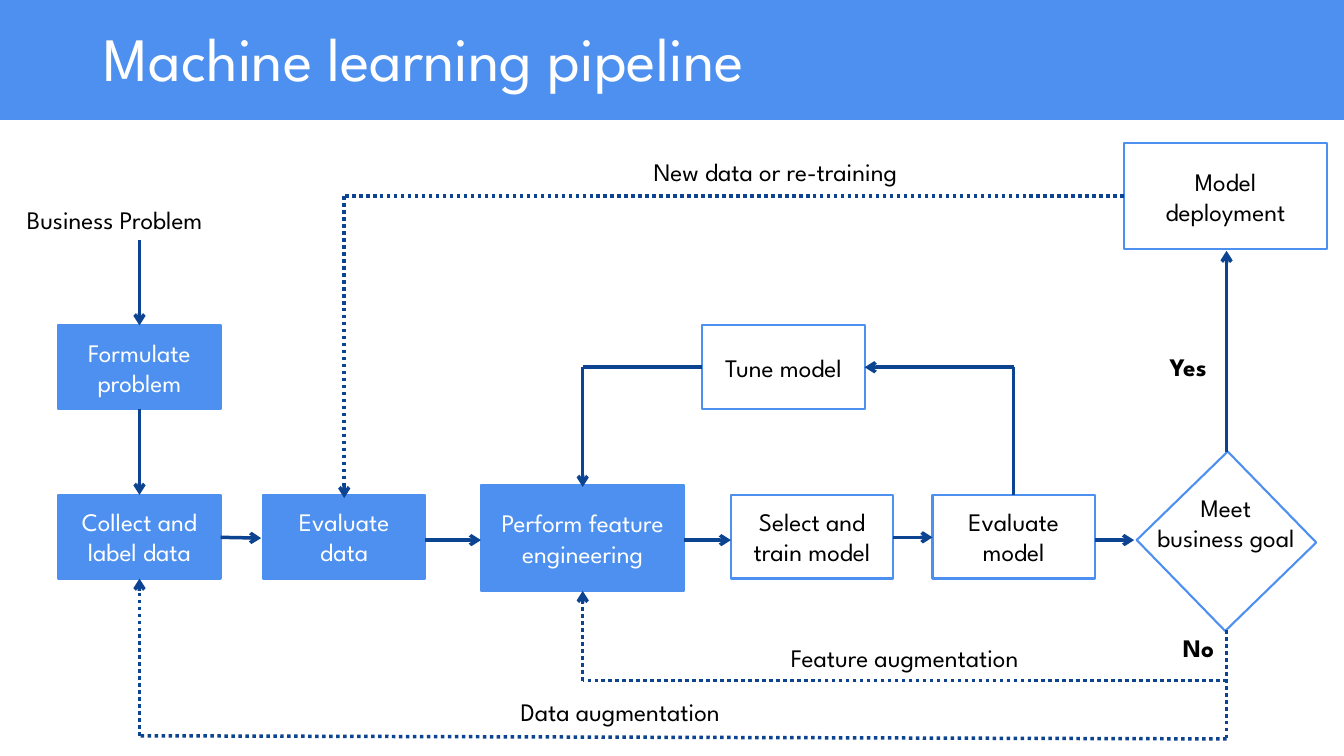
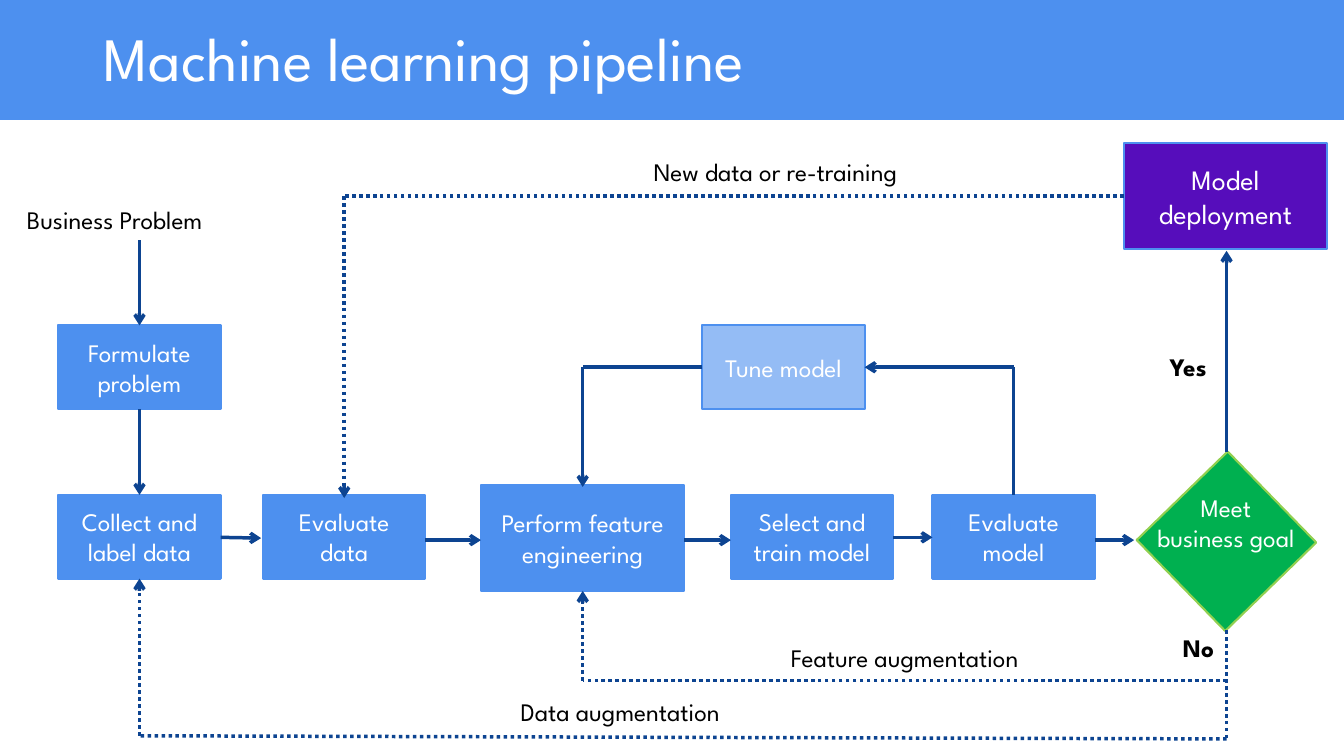
from dataclasses import dataclass

from lxml import etree
from pptx import Presentation
from pptx.dml.color import RGBColor
from pptx.enum.dml import MSO_LINE
from pptx.enum.shapes import MSO_CONNECTOR, MSO_SHAPE
from pptx.enum.text import MSO_ANCHOR, MSO_AUTO_SIZE, PP_ALIGN
from pptx.oxml.ns import qn
from pptx.shapes.autoshape import Shape
from pptx.slide import Slide
from pptx.text.text import TextFrame
from pptx.util import Cm, Pt

RECT = MSO_SHAPE.RECTANGLE
STRAIGHT = MSO_CONNECTOR.STRAIGHT
DOTTED = MSO_LINE.ROUND_DOT
MIDDLE, TOP = MSO_ANCHOR.MIDDLE, MSO_ANCHOR.TOP
CENTER, LEFT = PP_ALIGN.CENTER, PP_ALIGN.LEFT
GROW = MSO_AUTO_SIZE.SHAPE_TO_FIT_TEXT


@dataclass(frozen=True)
class Theme:
    font: str = "League Spartan"
    blue: str = "4D90EF"
    light_blue: str = "94BCF5"
    navy: str = "0D4491"
    purple: str = "560DBB"
    green: str = "00B050"
    lime: str = "92D050"
    white: str = "FFFFFF"
    black: str = "000000"
    title_size: int = 44
    large_size: int = 20
    body_size: int = 18
    outline: float = 1.5
    arrow: float = 2.5


T = Theme()


@dataclass(frozen=True)
class Style:
    fill: str
    text: str
    line: str = T.blue
    size: int = T.body_size


@dataclass(frozen=True)
class Box:
    text: str
    left: float
    top: float
    width: float = 4.09
    height: float = 2.11

    @property
    def right(self) -> float:
        return self.left + self.width

    @property
    def bottom(self) -> float:
        return self.top + self.height

    @property
    def mid_x(self) -> float:
        return self.left + self.width / 2

    @property
    def mid_y(self) -> float:
        return self.top + self.height / 2


@dataclass(frozen=True)
class Label:
    text: str
    left: float
    top: float
    width: float = 9.32
    height: float = 1.02
    align: PP_ALIGN = CENTER
    bold: bool = False


@dataclass(frozen=True)
class Route:
    points: tuple[tuple[float, float], ...]
    dotted: bool = False
    arrow: bool = True


@dataclass(frozen=True)
class Stage:
    model: Style
    tune: Style
    deploy: Style
    goal: Style


SOLID = Style(T.blue, T.white)
OPEN = Style(T.white, T.black)

STAGES = (
    Stage(OPEN, OPEN, OPEN, OPEN),
    Stage(
        SOLID,
        Style(T.light_blue, T.white),
        Style(T.purple, T.white, size=T.large_size),
        Style(T.green, T.white, T.lime),
    ),
)

ROW_Y, UPPER_Y, FLOW_Y, GOAL_X = 12.47, 8.2, 13.61, 30.91
FORMULATE = Box("Formulate problem", 1.47, UPPER_Y)
COLLECT = Box("Collect and label data", 1.47, ROW_Y)
EVALUATE = Box("Evaluate data", 6.63, ROW_Y)
FEATURES = Box("Perform feature engineering", 12.12, 12.22, 5.13, 2.67)
TRAIN = Box("Select and train model", 18.42, ROW_Y)
ASSESS = Box("Evaluate model", 23.5, ROW_Y)
TUNE = Box("Tune model", 17.7, UPPER_Y)
DEPLOY = Box("Model deployment", 28.32, 3.61, 5.13, 2.67)
GOAL = Box("", 29.31, 12.04, 3.2, 3.2)
GOAL_TURN = 315.8
GOAL_LABEL = Label("Meet business goal", 28.85, 12.27, 4.09, 2.57)
TITLE = Label("Machine learning pipeline", -0.08, 0.38, 21.54, 2.13)
BAND = Box("", -0.08, 0, 33.96, 3.02)

LABELS = (
    Label("Business Problem", 0.43, 5.03, 6.15, align=LEFT),
    Label("Yes", 28.98, 8.74, 1.93, bold=True),
    Label("No", 29.24, 15.82, 1.93, bold=True),
    Label("New data or re-training", 14.88, 3.81),
    Label("Feature augmentation", 18.14, 16.05),
    Label("Data augmentation", 10.97, 17.42),
)

ROUTES = (
    Route(((COLLECT.mid_x, 6.05), (COLLECT.mid_x, FORMULATE.top))),
    Route(((COLLECT.mid_x, FORMULATE.bottom), (COLLECT.mid_x, COLLECT.top))),
    Route(((COLLECT.right, 13.54), (6.58, 13.56))),
    Route(((EVALUATE.right, FLOW_Y), (FEATURES.left, FLOW_Y))),
    Route(((FEATURES.right, FLOW_Y), (TRAIN.left, FLOW_Y))),
    Route(((TRAIN.right, 13.54), (ASSESS.left, 13.54))),
    Route(((ASSESS.right, FLOW_Y), (28.58, FLOW_Y))),
    Route((
        (ASSESS.mid_x, ASSESS.top),
        (ASSESS.mid_x, TUNE.mid_y),
        (TUNE.right, TUNE.mid_y),
    )),
    Route((
        (TUNE.left, TUNE.mid_y),
        (FEATURES.mid_x, TUNE.mid_y),
        (FEATURES.mid_x, 12.27),
    )),
    Route(((GOAL_X, 11.4), (GOAL_X, 6.32))),
    Route((
        (DEPLOY.left, DEPLOY.mid_y),
        (EVALUATE.mid_x, DEPLOY.mid_y),
        (EVALUATE.mid_x, 12.55),
    ), dotted=True),
    Route(((GOAL_X, 15.88), (GOAL_X, 18.67)), dotted=True, arrow=False),
    Route((
        (GOAL_X, 17.15),
        (FEATURES.mid_x, 17.15),
        (FEATURES.mid_x, FEATURES.bottom),
    ), dotted=True),
    Route((
        (GOAL_X, 18.62),
        (COLLECT.mid_x, 18.54),
        (COLLECT.mid_x, COLLECT.bottom),
    ), dotted=True),
)


def rgb(color: str) -> RGBColor:
    return RGBColor.from_string(color)


def write(tf: TextFrame, text: str, color: str, size: int,
          align: PP_ALIGN = CENTER, bold: bool = False) -> None:
    tf.word_wrap = True
    p = tf.paragraphs[0]
    p.alignment = align
    r = p.add_run()
    r.text = text
    r.font.name = T.font
    r.font.size = Pt(size)
    r.font.bold = bold
    r.font.color.rgb = rgb(color)


def draw_rect(s: Slide, box: Box, fill: str, line: str | None = None) -> Shape:
    sp = s.shapes.add_shape(
        RECT, Cm(box.left), Cm(box.top), Cm(box.width), Cm(box.height))
    sp.shadow.inherit = False
    sp.fill.solid()
    sp.fill.fore_color.rgb = rgb(fill)
    if line is None:
        sp.line.fill.background()
    else:
        sp.line.color.rgb = rgb(line)
        sp.line.width = Pt(T.outline)
    return sp


def draw_box(s: Slide, box: Box, style: Style) -> None:
    tf = draw_rect(s, box, style.fill, style.line).text_frame
    tf.vertical_anchor = MIDDLE
    tf.margin_left = tf.margin_right = Cm(0.28)
    write(tf, box.text, style.text, style.size)


def draw_label(s: Slide, label: Label, color: str = T.black,
               size: int = T.body_size) -> None:
    sp = s.shapes.add_textbox(
        Cm(label.left), Cm(label.top), Cm(label.width), Cm(label.height))
    tf = sp.text_frame
    tf.vertical_anchor = TOP
    write(tf, label.text, color, size, label.align, label.bold)
    tf.auto_size = GROW


def draw_route(s: Slide, route: Route) -> None:
    for start, end in zip(route.points, route.points[1:]):
        cx = s.shapes.add_connector(
            STRAIGHT, Cm(start[0]), Cm(start[1]), Cm(end[0]), Cm(end[1]))
        cx.line.color.rgb = rgb(T.navy)
        cx.line.width = Pt(T.arrow)
        if route.dotted:
            cx.line.dash_style = DOTTED
        sp_pr = cx._element.spPr
        if route.arrow and end == route.points[-1]:
            tail = etree.SubElement(sp_pr.find(qn("a:ln")), qn("a:tailEnd"))
            tail.set("type", "arrow")
        etree.SubElement(sp_pr, qn("a:effectLst"))


def draw_pipeline(s: Slide, stage: Stage) -> None:
    draw_rect(s, BAND, T.blue)
    draw_label(s, TITLE, T.white, T.title_size)
    for box in (FORMULATE, COLLECT, EVALUATE, FEATURES):
        draw_box(s, box, SOLID)
    for box in (TRAIN, ASSESS):
        draw_box(s, box, stage.model)
    draw_box(s, TUNE, stage.tune)
    draw_box(s, DEPLOY, stage.deploy)
    draw_rect(s, GOAL, stage.goal.fill, stage.goal.line).rotation = GOAL_TURN
    draw_label(s, GOAL_LABEL, stage.goal.text)
    for route in ROUTES:
        draw_route(s, route)
    for label in LABELS:
        draw_label(s, label)


def main() -> None:
    prs = Presentation()
    prs.slide_width, prs.slide_height = Cm(33.87), Cm(19.05)
    blank = prs.slide_layouts[6]
    for stage in STAGES:
        draw_pipeline(prs.slides.add_slide(blank), stage)
    prs.save("out.pptx")


if __name__ == "__main__":
    main()
